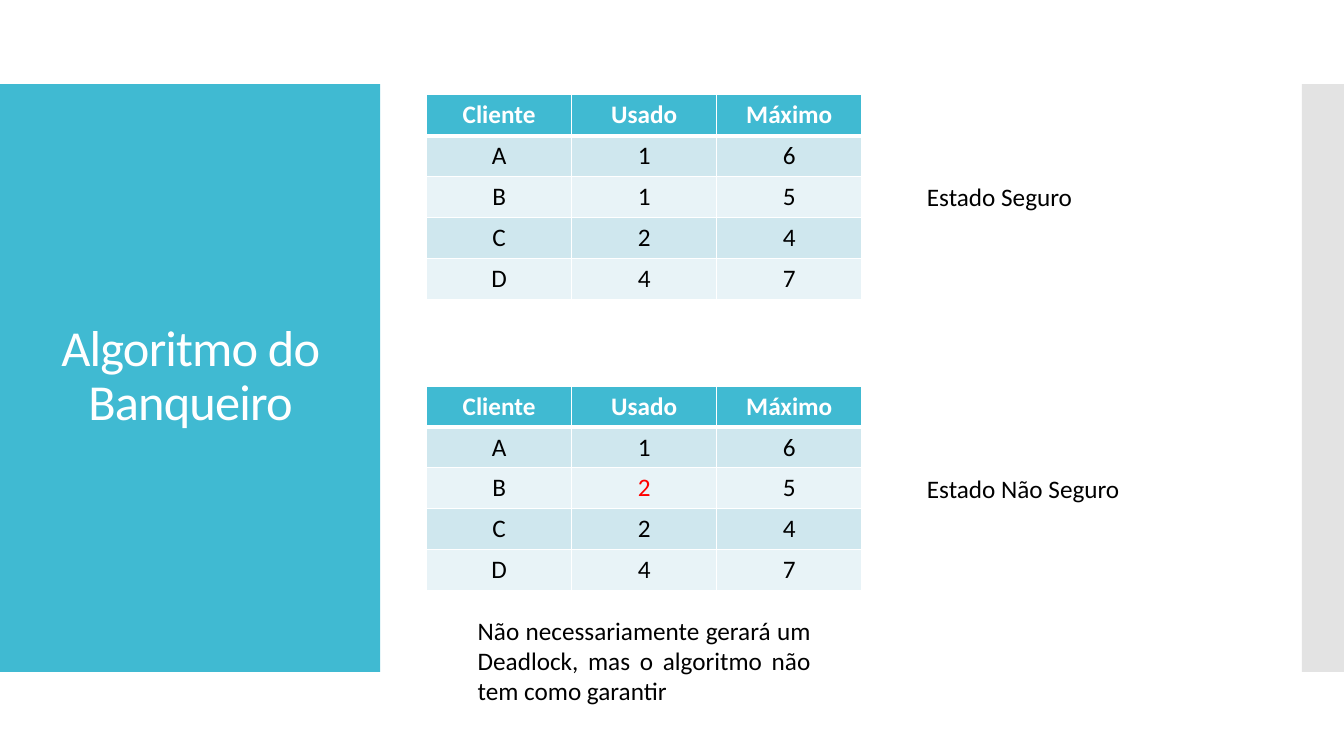
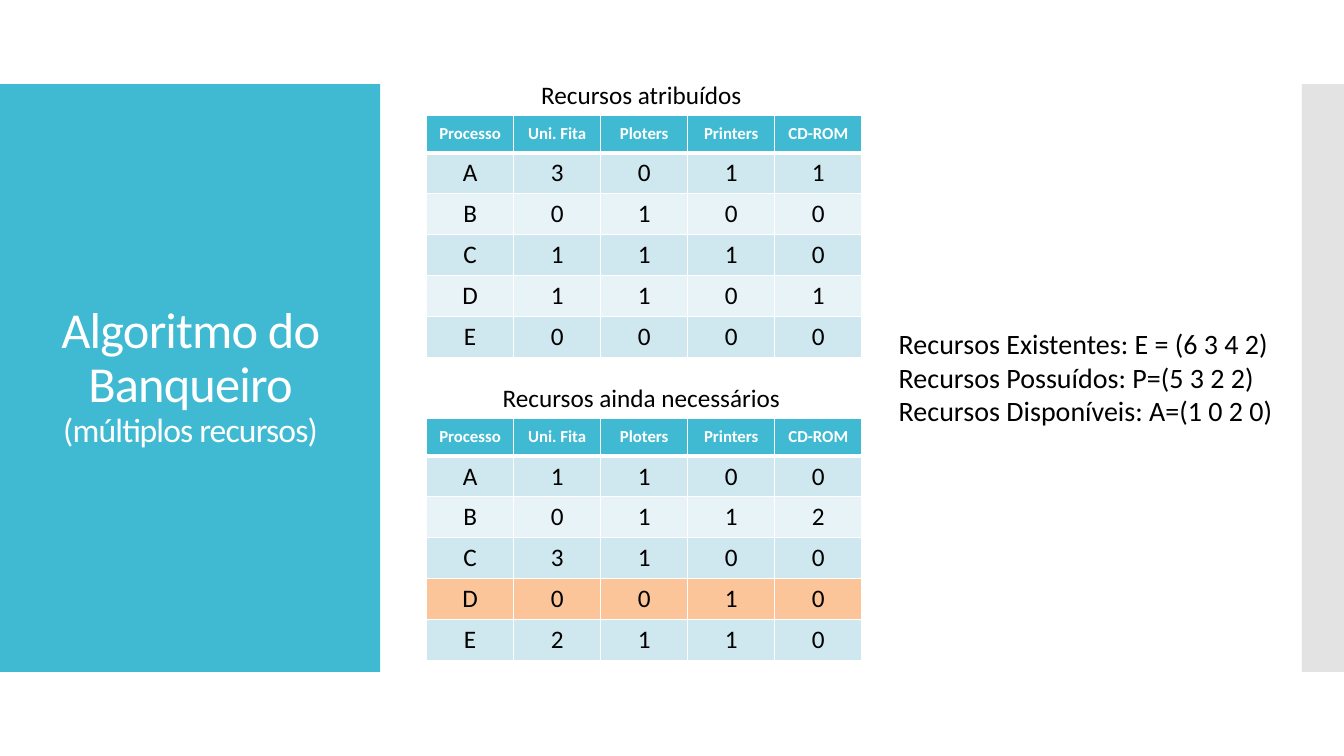
"""Build two slides on the banker's algorithm, with resource tables."""
from dataclasses import dataclass

from lxml import etree
from pptx import Presentation
from pptx.dml.color import RGBColor
from pptx.enum.shapes import MSO_SHAPE
from pptx.enum.text import MSO_ANCHOR, PP_ALIGN
from pptx.oxml.ns import qn
from pptx.util import Cm, Pt

RECT = MSO_SHAPE.RECTANGLE
MIDDLE, TOP = MSO_ANCHOR.MIDDLE, MSO_ANCHOR.TOP
LEFT, CENTER, JUSTIFY = PP_ALIGN.LEFT, PP_ALIGN.CENTER, PP_ALIGN.JUSTIFY


@dataclass(frozen=True)
class Theme:
    font: str = "Calibri"
    accent: str = "40BAD2"
    strip: str = "C8C8C8"
    bands: tuple = ("CFE7EE", "E8F3F7")
    highlight: str = "FCC599"
    alert: str = "FF0000"
    white: str = "FFFFFF"
    black: str = "000000"
    title: int = 36
    subtitle: int = 24
    summary: int = 20
    body: int = 18
    small: int = 12


T = Theme()
TABLE_LEFT, TABLE_WIDTH, ROW_HEIGHT = 10.75, 10.97, 1.03


def add_run(p, text, size, color=T.black, bold=False):
    r = p.add_run()
    r.text = text
    r.font.name, r.font.size, r.font.bold = T.font, Pt(size), bold
    r.font.color.rgb = RGBColor.from_string(color)
    return r


def add_grid(s, top, rows, header_size, header_height, marked_row=None, alert_cell=None):
    n_rows, n_cols = len(rows), len(rows[0])
    height = header_height + ROW_HEIGHT * (n_rows - 1)
    table = s.shapes.add_table(n_rows, n_cols, Cm(TABLE_LEFT), Cm(top),
                               Cm(TABLE_WIDTH), Cm(height)).table
    for col in table.columns:
        col.width = Cm(TABLE_WIDTH / n_cols)
    for i, values in enumerate(rows):
        header = i == 0
        table.rows[i].height = Cm(header_height if header else ROW_HEIGHT)
        fill = T.accent if header else T.bands[(i - 1) % 2]
        if i == marked_row:
            fill = T.highlight
        for j, value in enumerate(values):
            cell = table.cell(i, j)
            tcPr = cell._tc.get_or_add_tcPr()
            widths = {"lnL": 1, "lnR": 1, "lnT": 3 if i == 1 else 1, "lnB": 3 if header else 1}
            for side, width in widths.items():
                ln = etree.SubElement(tcPr, qn(f"a:{side}"), w=str(Pt(width)))
                solid = etree.SubElement(ln, qn("a:solidFill"))
                etree.SubElement(solid, qn("a:srgbClr"), val=T.white)
            cell.fill.solid()
            cell.fill.fore_color.rgb = RGBColor.from_string(fill)
            cell.vertical_anchor = MIDDLE
            p = cell.text_frame.paragraphs[0]
            p.alignment = CENTER
            color = T.white if header else T.alert if (i, j) == alert_cell else T.black
            add_run(p, value, header_size if header else T.body, color, header)


clients = ("Cliente", "Usado", "Máximo")
resources = ("Processo", "Uni. Fita", "Ploters", "Printers", "CD-ROM")
slides = [
    {
        "title": [("Algoritmo do Banqueiro", T.title)],
        "grids": [
            (2.39, [clients, "A16", "B15", "C24", "D47"], T.body, ROW_HEIGHT),
            (9.73, [clients, "A16", "B25", "C24", "D47"], T.body, ROW_HEIGHT, None, (2, 1)),
        ],
        "texts": [
            ((23.11, 4.45, 7.6, 1.03), ["Estado Seguro"], T.body, LEFT, True),
            ((23.11, 11.79, 7.6, 1.03), ["Estado Não Seguro"], T.body, LEFT, True),
            ((11.79, 15.37, 8.89, 2.56),
             ["Não necessariamente gerará um Deadlock, mas o algoritmo não tem como garantir"],
             T.body, JUSTIFY, True),
        ],
    },
    {
        "title": [("Algoritmo do Banqueiro", T.title), ("(múltiplos recursos)", T.subtitle)],
        "grids": [
            (2.9, [resources, "A3011", "B0100", "C1110", "D1101", "E0000"], T.small, 0.95),
            (10.54, [resources, "A1100", "B0112", "C3100", "D0010", "E2110"], T.small, 0.95, 4),
        ],
        "texts": [
            ((13.39, 1.88, 5.69, 1.03), ["Recursos atribuídos"], T.body, LEFT, False),
            ((12.42, 9.52, 7.67, 1.03), ["Recursos ainda necessários"], T.body, LEFT, False),
            ((22.4, 8.1, 10.06, 2.82),
             ["Recursos Existentes: E = (6 3 4 2)",
              "Recursos Possuídos: P=(5 3 2 2)",
              "Recursos Disponíveis: A=(1 0 2 0)"], T.summary, LEFT, False),
        ],
    },
]

# The B row of the first grid holds one used unit and a maximum of five.
slides[0]["grids"][0][1][3:] = ["C24", "D47"]

prs = Presentation()
prs.slide_width, prs.slide_height = Cm(33.87), Cm(19.05)

for content in slides:
    s = prs.slides.add_slide(prs.slide_layouts[6])

    for left, width, color, alpha in ((0, 9.58, T.accent, 100), (32.81, 1.06, T.strip, 50)):
        sp = s.shapes.add_shape(RECT, Cm(left), Cm(2.12), Cm(width), Cm(14.81))
        sp.shadow.inherit = False
        sp.line.fill.background()
        sp.fill.solid()
        sp.fill.fore_color.rgb = RGBColor.from_string(color)
        if alpha < 100:
            clr = sp.element.spPr.find(f"{qn('a:solidFill')}/{qn('a:srgbClr')}")
            etree.SubElement(clr, qn("a:alpha"), val=str(alpha * 1000))

    tf = s.shapes.add_textbox(Cm(0.71), Cm(3.12), Cm(8.18), Cm(12.78)).text_frame
    tf.word_wrap, tf.vertical_anchor = True, MIDDLE
    p = tf.paragraphs[0]
    p.alignment, p.line_spacing = CENTER, 0.9
    for i, (text, size) in enumerate(content["title"]):
        if i:
            p.add_line_break()
        r = add_run(p, text, size, T.white)
        r.font._element.set("spc", "-60")

    for grid in content["grids"]:
        add_grid(s, *grid)

    for box, lines, size, align, wrap in content["texts"]:
        tf = s.shapes.add_textbox(*(Cm(v) for v in box)).text_frame
        tf.word_wrap, tf.vertical_anchor = wrap, TOP
        for i, line in enumerate(lines):
            p = tf.add_paragraph() if i else tf.paragraphs[0]
            p.alignment = align
            add_run(p, line, size)

prs.save("out.pptx")
